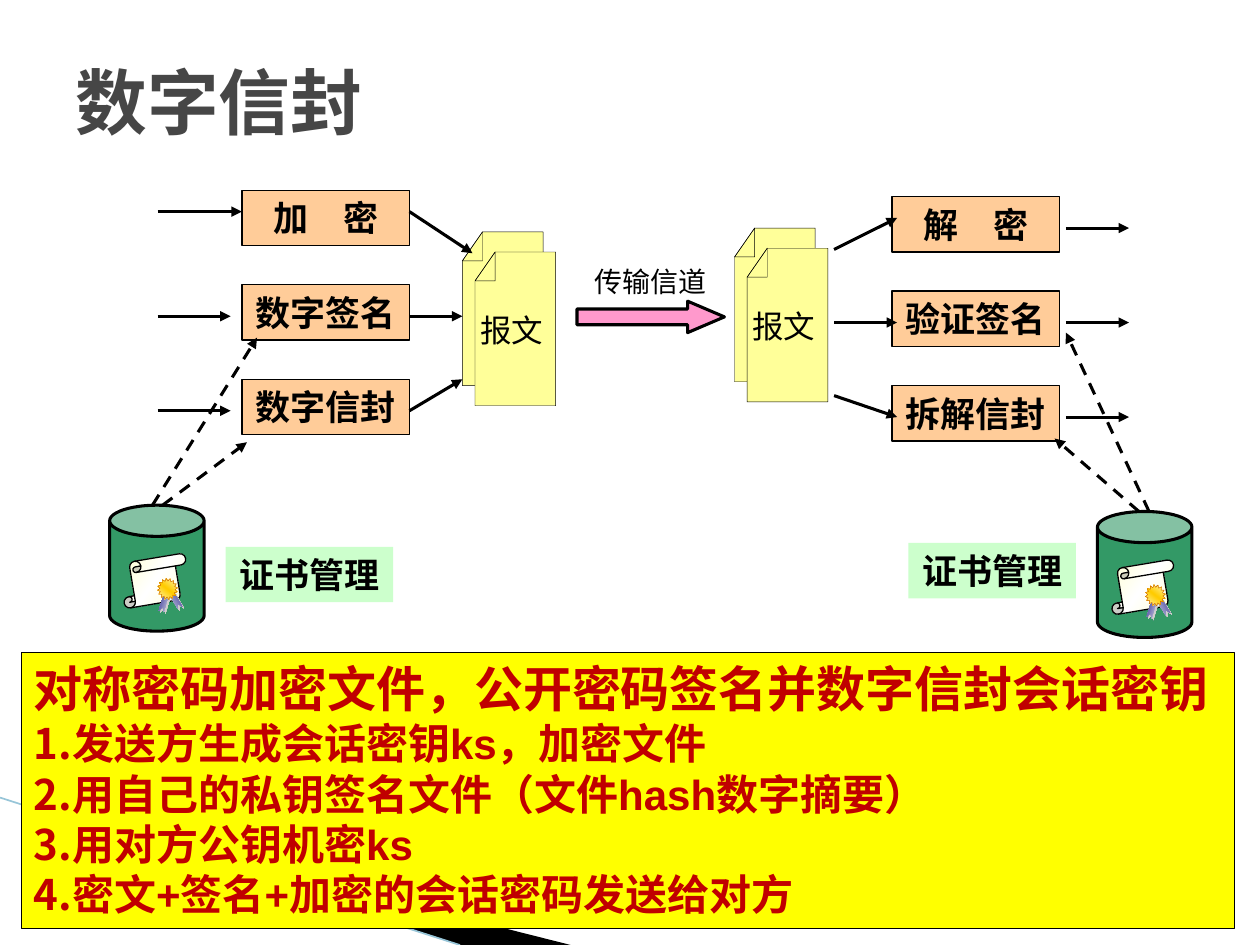
from lxml.etree import SubElement
from pptx import Presentation
from pptx.dml.color import RGBColor
from pptx.enum.dml import MSO_LINE_DASH_STYLE as Dash
from pptx.enum.shapes import MSO_CONNECTOR, MSO_SHAPE as Preset
from pptx.enum.text import MSO_ANCHOR as Anchor, PP_ALIGN as Align
from pptx.oxml.ns import qn
from pptx.util import Inches, Pt

BLACK = RGBColor(0x00, 0x00, 0x00)
GRAY = RGBColor(0x46, 0x46, 0x46)
RED = RGBColor(0xC0, 0x00, 0x00)
YELLOW = RGBColor(0xFF, 0xFF, 0x00)
PAPER = RGBColor(0xFF, 0xFF, 0x99)
PEACH = RGBColor(0xFF, 0xCC, 0x99)
MINT = RGBColor(0xCC, 0xFF, 0xCC)
GREEN = RGBColor(0x33, 0x99, 0x66)
PINK = RGBColor(0xFF, 0x99, 0xCC)
TEAL = RGBColor(0x97, 0xC5, 0xD8)
CREAM = RGBColor(0xFF, 0xFF, 0xCC)
WHITE = RGBColor(0xFF, 0xFF, 0xFF)
GOLD = RGBColor(0xFF, 0xCC, 0x00)
BRONZE = RGBColor(0xCC, 0x66, 0x00)
LILAC = RGBColor(0xD6, 0xD6, 0xE3)
INDIGO = RGBColor(0x33, 0x33, 0x99)
SILVER = RGBColor(0xCE, 0xCE, 0xCE)
CJK = "Noto Sans CJK SC"
STEP_PITCH = 0.75


def paint(shape, fill=None, line=None, weight=0.75):
    shape.shadow.inherit = False
    if fill is None:
        shape.fill.background()
    else:
        shape.fill.solid()
        shape.fill.fore_color.rgb = fill
    if line is None:
        shape.line.fill.background()
    else:
        shape.line.color.rgb = line
        shape.line.width = Pt(weight)


def add_preset(page, kind, left, top, width, height, fill=None, line=None, weight=0.75):
    shape = page.shapes.add_shape(kind, Inches(left), Inches(top), Inches(width), Inches(height))
    paint(shape, fill, line, weight)
    return shape


def blend(shape, colors, angle):
    shape.fill.gradient()
    shape.fill.gradient_angle = (360 - angle) % 360
    stops = shape.element.spPr.find(qn("a:gradFill")).find(qn("a:gsLst"))
    for stop in list(stops):
        stops.remove(stop)
    for index, color in enumerate(colors):
        stop = SubElement(stops, qn("a:gs"), pos=str(100000 * index // (len(colors) - 1)))
        SubElement(stop, qn("a:srgbClr"), val=str(color))


def add_outline(page, left, top, points, fill=None, line=None, weight=0.25):
    spots = [(Inches(left + x), Inches(top + y)) for x, y in points]
    builder = page.shapes.build_freeform(*spots[0])
    builder.add_line_segments(spots[1:], close=True)
    paint(builder.convert_to_shape(), fill, line, weight)


def add_line(page, start, end, color=BLACK, weight=1.75, dashed=False, arrow=True):
    ends = [Inches(value) for value in (*start, *end)]
    line = page.shapes.add_connector(MSO_CONNECTOR.STRAIGHT, *ends)
    line.line.color.rgb = color
    line.line.width = Pt(weight)
    if dashed:
        line.line.dash_style = Dash.DASH
    if arrow:
        SubElement(line.line._get_or_add_ln(), qn("a:tailEnd"), type="triangle")
    SubElement(line.element.spPr, qn("a:effectLst"))


def style(para, size, color=BLACK, font="Arial", bold=False):
    for span in para.runs:
        span.font.size = Pt(size)
        span.font.bold = bold
        span.font.color.rgb = color
        span.font.name = font
        SubElement(span.font._element, qn("a:ea"), typeface=CJK)


def set_margins(frame, side, edge):
    frame.margin_left = frame.margin_right = Inches(side)
    frame.margin_top = frame.margin_bottom = Inches(edge)


def add_label(page, left, top, text, fill, line=None):
    box = add_preset(page, Preset.RECTANGLE, left, top, 1.33, 0.44, fill, line)
    frame = box.text_frame
    set_margins(frame, 0, 0)
    frame.vertical_anchor = Anchor.MIDDLE
    frame.text = text
    frame.paragraphs[0].alignment = Align.CENTER
    style(frame.paragraphs[0], 20, bold=True)


def add_text(page, left, top, width, height, text, size, align, wrap=True):
    box = page.shapes.add_textbox(Inches(left), Inches(top), Inches(width), Inches(height))
    frame = box.text_frame
    frame.word_wrap = wrap
    set_margins(frame, 0, 0)
    frame.vertical_anchor = Anchor.MIDDLE
    frame.text = text
    frame.paragraphs[0].alignment = align
    style(frame.paragraphs[0], size, font=CJK)
    return box


def draw_steps(page, left, top, labels):
    for index, label in enumerate(labels):
        add_label(page, left, top + index * STEP_PITCH, label, PEACH, BLACK)


def draw_message(page, left, top):
    sheet = [(0.16, 0), (0.64, 0), (0.64, 1.22), (0, 1.22), (0, 0.23)]
    fold = [(0.16, 0), (0.16, 0.23), (0, 0.23)]
    for x, y in ((left, top), (left + 0.1, top + 0.16)):
        add_outline(page, x, y, sheet, PAPER, BLACK)
        add_outline(page, x, y, fold, None, BLACK)
    add_text(page, left + 0.14, top + 0.63, 0.5, 0.3, "报文", 18, Align.LEFT, wrap=False)


def draw_store(page, left, top):
    can = add_preset(page, Preset.CAN, left, top, 0.75, 1, GREEN, BLACK, 1.75)
    can.adjustments[0] = 0.33
    scroll = add_preset(page, Preset.VERTICAL_SCROLL, left + 0.09, top + 0.42, 0.54, 0.36, CREAM, BLACK)
    scroll.adjustments[0] = 0.25
    scroll.rotation = 350.5
    blend(scroll, (CREAM, WHITE, CREAM), 45)
    for x, y, turn, flipped in ((0.43, 0.72, 239.1, False), (0.35, 0.74, 106.7, True)):
        ribbon = add_preset(page, Preset.CHEVRON, left + x, top + y, 0.17, 0.04, LILAC)
        ribbon.adjustments[0] = 1
        ribbon.rotation = turn
        blend(ribbon, (LILAC, INDIGO), 90)
        properties = ribbon.element.spPr
        if flipped:
            properties.find(qn("a:xfrm")).set("flipH", "1")
        shade = SubElement(properties.find(qn("a:effectLst")), qn("a:outerShdw"),
                           dist=str(Pt(1.4)), dir="2700000")
        SubElement(shade, qn("a:srgbClr"), val=str(SILVER))
    seal = add_preset(page, Preset.STAR_16_POINT, left + 0.38, top + 0.58, 0.16, 0.17, GOLD, BRONZE, 0.25)
    seal.rotation = 352.9
    blend(seal, (CREAM, GOLD, CREAM), 315)


def draw_arrows(page, left, top, arrows, dashed=False):
    for x1, y1, x2, y2 in arrows:
        add_line(page, (left + x1, top + y1), (left + x2, top + y2), dashed=dashed)


def draw_sender(page, left, top):
    draw_store(page, left, top + 2.5)
    draw_steps(page, left + 1.05, top, ("加　密", "数字签名", "数字信封"))
    draw_message(page, left + 2.8, top + 0.33)
    add_label(page, left + 0.92, top + 2.83, "证书管理", MINT)
    draw_arrows(page, left, top, (
        (0.38, 0.17, 1.05, 0.17), (0.38, 1, 0.96, 1), (0.38, 1.75, 0.96, 1.75),
        (2.38, 0.17, 2.88, 0.5), (2.38, 1, 2.8, 1), (2.38, 1.75, 2.8, 1.5)))
    draw_arrows(page, left, top, ((0.34, 2.5, 1.17, 1.17), (0.42, 2.5, 1.09, 2)), dashed=True)


def draw_receiver(page, left, top):
    draw_store(page, left + 2.88, top + 2.5)
    draw_message(page, left, top + 0.25)
    draw_steps(page, left + 1.25, top, ("解　密", "验证签名", "拆解信封"))
    add_label(page, left + 1.38, top + 2.75, "证书管理", MINT)
    draw_arrows(page, left, top, (
        (2.63, 0.25, 3.13, 0.25), (2.63, 1, 3.13, 1), (2.63, 1.75, 3.13, 1.75),
        (0.79, 0.42, 1.29, 0.17), (0.79, 1, 1.29, 1), (0.79, 1.58, 1.29, 1.75)))
    draw_arrows(page, left, top, ((3.29, 2.5, 2.63, 1.08), (3.21, 2.5, 2.54, 1.92)), dashed=True)


def draw_channel(page, left, top):
    arrow = add_preset(page, Preset.RIGHT_ARROW, left, top + 0.34, 1.17, 0.25, PINK, BLACK, 1.75)
    arrow.adjustments[1] = 1.17
    add_text(page, left, top, 1.17, 0.37, "传输信道", 16, Align.CENTER)


def draw_summary(page, left, top, width, height):
    box = add_preset(page, Preset.RECTANGLE, left, top, width, height, YELLOW, BLACK)
    frame = box.text_frame
    frame.vertical_anchor = Anchor.TOP
    lines = ("对称密码加密文件，公开密码签名并数字信封会话密钥", "发送方生成会话密钥ks，加密文件",
             "用自己的私钥签名文件（文件hash数字摘要）", "用对方公钥机密ks", "密文+签名+加密的会话密码发送给对方")
    for index, line in enumerate(lines):
        para = frame.add_paragraph() if index else frame.paragraphs[0]
        para.text = line
        para.alignment = Align.LEFT
        size = 24 if index else 28
        para.line_spacing = Pt(size * 1.2)
        properties = para._p.get_or_add_pPr()
        properties.set("marL", str(Inches(0.25)))
        properties.set("indent", str(-Inches(0.25)))
        if index:
            SubElement(properties, qn("a:buFont"), typeface=CJK)
            SubElement(properties, qn("a:buAutoNum"), type="arabicPeriod")
        style(para, size, RED, bold=True)


def draw_title(page, left, top, width, height):
    box = page.shapes.add_textbox(Inches(left), Inches(top), Inches(width), Inches(height))
    frame = box.text_frame
    frame.word_wrap = True
    frame.vertical_anchor = Anchor.MIDDLE
    frame.text = "数字信封"
    style(frame.paragraphs[0], 41, GRAY, "DejaVu Sans Mono", True)


def draw_backdrop(page, left, top):
    add_outline(page, left, top, [(0.53, 0.16), (4.53, 1.17), (3.66, 1.17)], BLACK)
    add_line(page, (left, top), (left + 3.65, top + 1.17), TEAL, 0.95, arrow=False)


def main():
    deck = Presentation()
    deck.slide_width, deck.slide_height = Inches(10), Inches(7.5)
    page = deck.slides.add_slide(deck.slide_layouts[6])
    draw_backdrop(page, 0, 6.33)
    draw_sender(page, 0.87, 1.51)
    draw_channel(page, 4.58, 2.05)
    draw_receiver(page, 5.83, 1.56)
    draw_summary(page, 0.17, 5.18, 9.63, 2.19)
    draw_title(page, 0.5, 0.3, 9, 1)
    deck.save("out.pptx")


if __name__ == "__main__":
    main()
